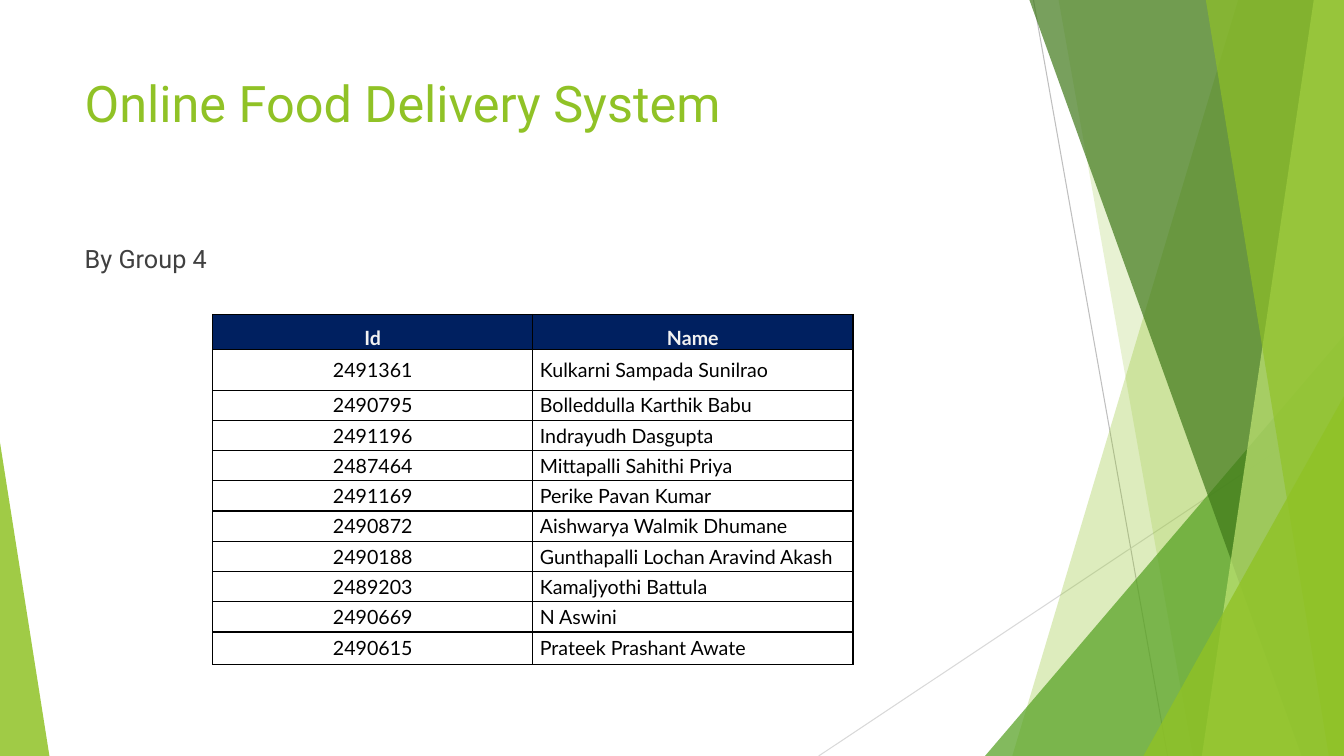
from pptx import Presentation
from pptx.dml.color import RGBColor
from pptx.enum import shapes, text
from pptx.oxml import parse_xml
from pptx.oxml.ns import nsdecls, qn
from pptx.util import Inches, Pt

WIDTH, HEIGHT = 13.33, 7.5
COLORS = {
    "lime": "90C226", "pale": "C0E474", "green": "54A021", "forest": "3F7819",
    "navy": "002060", "white": "FFFFFF", "header": "F2F2F2", "black": "000000",
    "body": "404040", "grey": "BFBFBF", "light_grey": "D9D9D9",
}
MEMBERS = [
    ("2491361", "Kulkarni Sampada Sunilrao"),
    ("2490795", "Bolleddulla Karthik Babu"),
    ("2491196", "Indrayudh Dasgupta"),
    ("2487464", "Mittapalli Sahithi Priya"),
    ("2491169", "Perike Pavan Kumar"),
    ("2490872", "Aishwarya Walmik Dhumane"),
    ("2490188", "Gunthapalli Lochan Aravind Akash"),
    ("2489203", "Kamaljyothi Battula"),
    ("2490669", "N Aswini"),
    ("2490615", "Prateek Prashant Awate"),
]


def rgb(name):
    return RGBColor.from_string(COLORS[name])


def write(tf, content, *, font, size, color, bold=False, align=text.PP_ALIGN.LEFT):
    p = tf.paragraphs[0]
    p.alignment = align
    r = p.add_run()
    r.text = content
    r.font.name, r.font.size, r.font.bold = font, Pt(size), bold
    r.font.color.rgb = rgb(color)
    return p


def paint(sp, color, opacity):
    """Fill a shape with a translucent colour, without outline or shadow."""
    sp.shadow.inherit = False
    sp.line.fill.background()
    sp.fill.solid()
    sp.fill.fore_color.rgb = rgb(color)
    clr = sp._element.spPr.find(".//" + qn("a:srgbClr"))
    clr.append(parse_xml(f'<a:alpha {nsdecls("a")} val="{opacity * 1000}"/>'))


def add_facet(s, top_x, bottom_x, color, opacity):
    """Add a full-height panel that runs to the slide's right edge."""
    corners = [(WIDTH, 0), (WIDTH, HEIGHT), (bottom_x, HEIGHT)]
    builder = s.shapes.build_freeform(Inches(top_x), 0)
    builder.add_line_segments([(Inches(x), Inches(y)) for x, y in corners])
    paint(builder.convert_to_shape(), color, opacity)


def add_triangle(s, left, top, width, apex, color, opacity):
    """Add a right triangle standing on the slide's bottom edge."""
    sp = s.shapes.add_shape(shapes.MSO_SHAPE.ISOSCELES_TRIANGLE, Inches(left),
                            Inches(top), Inches(width), Inches(HEIGHT - top))
    sp.adjustments[0] = apex
    paint(sp, color, opacity)


def add_line(s, x1, y1, x2, y2, color):
    line = s.shapes.add_connector(shapes.MSO_CONNECTOR.STRAIGHT, Inches(x1),
                                  Inches(y1), Inches(x2), Inches(y2))
    line.line.color.rgb = rgb(color)
    line.line.width = Pt(0.75)
    line._element.spPr.append(parse_xml(f'<a:effectLst {nsdecls("a")}/>'))


def add_decoration(s):
    add_line(s, 10.25, 0, 11.58, HEIGHT, "grey")
    add_line(s, WIDTH, 4.03, 8.12, HEIGHT, "light_grey")
    add_facet(s, 12.28, 10.04, "lime", 30)
    add_facet(s, 10.5, 11.83, "lime", 20)
    add_triangle(s, 9.77, 3.33, 3.56, 1, "green", 72)
    add_facet(s, 10.21, 12.91, "forest", 70)
    add_facet(s, 13.03, 11.92, "pale", 70)
    add_facet(s, 11.96, 13.18, "lime", 65)
    add_triangle(s, 11.34, 3.93, 1.99, 1, "lime", 80)
    add_triangle(s, 0, 4.39, 0.49, 0, "lime", 85)


def fill_placeholder(sp, top, height, content, **fmt):
    sp.left, sp.top = Inches(0.74), Inches(top)
    sp.width, sp.height = Inches(9.4), Inches(height)
    tf = sp.text_frame
    tf.word_wrap = True
    tf.auto_size = text.MSO_AUTO_SIZE.NONE
    tf.vertical_anchor = text.MSO_ANCHOR.TOP
    p = write(tf, content, font="Roboto", **fmt)
    p.space_before = Pt(0)
    return p


def remove_bullet(p):
    pPr = p._p.get_or_add_pPr()
    pPr.set("marL", "0")
    pPr.set("indent", "0")
    pPr.append(parse_xml(f'<a:buNone {nsdecls("a")}/>'))


def format_cell(cell, fill, anchor):
    cell.margin_left = cell.margin_right = Inches(0.07)
    cell.margin_top = cell.margin_bottom = 0
    cell.vertical_anchor = anchor
    tcPr = cell._tc.get_or_add_tcPr()
    for side in "LRTB":
        tcPr.append(parse_xml(
            f'<a:ln{side} {nsdecls("a")} w="{Pt(1)}"><a:solidFill>'
            f'<a:srgbClr val="{COLORS["black"]}"/></a:solidFill></a:ln{side}>'))
    cell.fill.solid()
    cell.fill.fore_color.rgb = rgb(fill)


def add_member_table(s):
    rows = [("Id", "Name")] + MEMBERS
    heights = [0.35, 0.4] + [0.3] * (len(rows) - 3) + [0.32]
    table = s.shapes.add_table(len(rows), 2, Inches(2.11), Inches(3.12),
                               Inches(6.35), Inches(sum(heights))).table
    for i, (values, height) in enumerate(zip(rows, heights)):
        table.rows[i].height = Inches(height)
        header = i == 0
        for j, value in enumerate(values):
            cell = table.cell(i, j)
            format_cell(cell, "navy" if header else "white",
                        text.MSO_ANCHOR.BOTTOM if header else text.MSO_ANCHOR.MIDDLE)
            centred = header or j == 0
            write(cell.text_frame, value, font="Lato", size=14, bold=header,
                  color="header" if header else "black",
                  align=text.PP_ALIGN.CENTER if centred else text.PP_ALIGN.LEFT)


def main():
    prs = Presentation()
    prs.slide_width, prs.slide_height = Inches(WIDTH), Inches(HEIGHT)
    s = prs.slides.add_slide(prs.slide_layouts[1])
    add_decoration(s)
    fill_placeholder(s.shapes.title, 0.67, 1.44, "Online Food Delivery System",
                     size=36, color="lime")
    group = fill_placeholder(s.placeholders[1], 2.36, 0.75, "By Group 4",
                             size=18, color="body")
    remove_bullet(group)
    add_member_table(s)
    prs.save("out.pptx")


if __name__ == "__main__":
    main()
